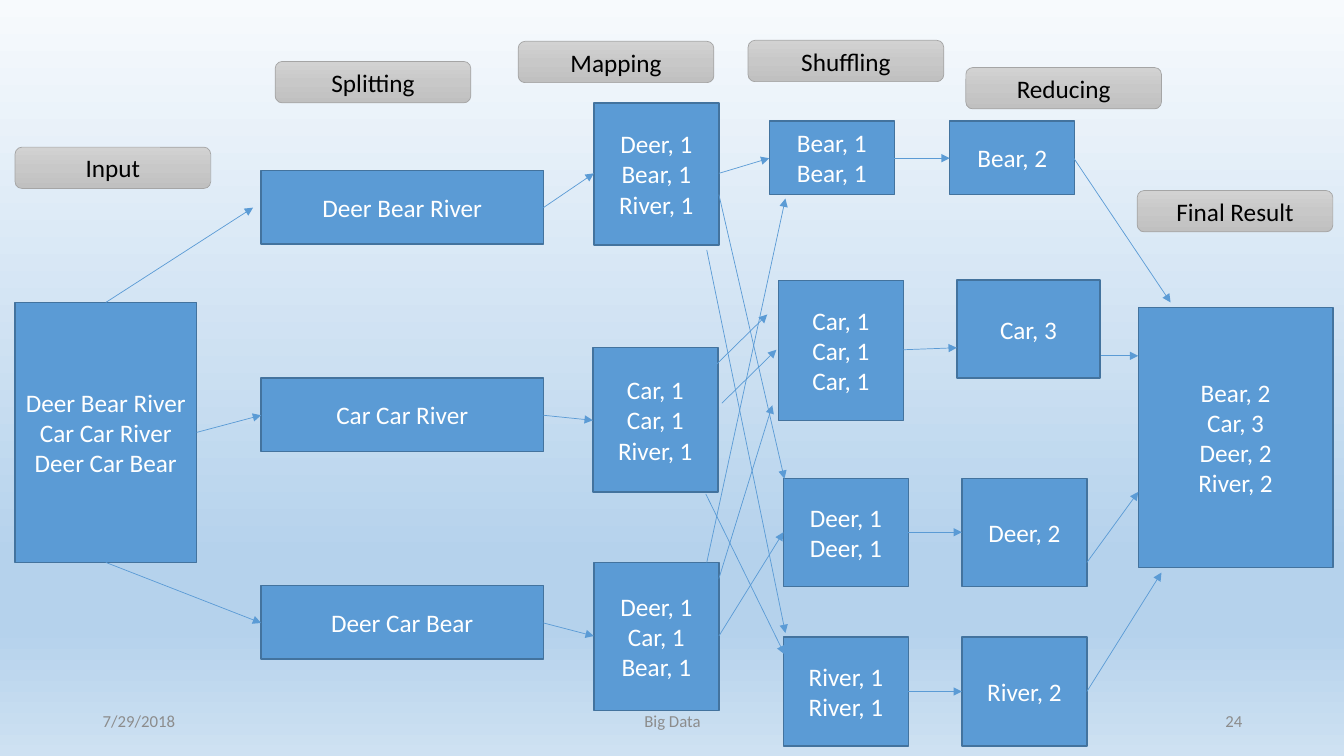
"""Build a slide that follows a word count through the MapReduce stages."""
from dataclasses import dataclass

from lxml import etree
from pptx import Presentation
from pptx.dml.color import RGBColor
from pptx.enum.shapes import MSO_CONNECTOR, MSO_SHAPE
from pptx.enum.text import MSO_ANCHOR, PP_ALIGN
from pptx.oxml.ns import qn
from pptx.util import Inches, Pt

RECTANGLE = MSO_SHAPE.RECTANGLE
ROUNDED = MSO_SHAPE.ROUNDED_RECTANGLE
STRAIGHT = MSO_CONNECTOR.STRAIGHT
MIDDLE = MSO_ANCHOR.MIDDLE
LEFT, CENTER, RIGHT = PP_ALIGN.LEFT, PP_ALIGN.CENTER, PP_ALIGN.RIGHT

BLUE, DARK_BLUE = "5B9BD5", "43739E"
WHITE, BLACK, GRAY, FOOTER_GRAY = "FFFFFF", "000000", "A5A5A5", "8C8C8C"
BACKGROUND_STOPS = [(0, "F7FAFD"), (74, "B5D2EC"), (83, "B5D2EC"), (100, "CEE1F2")]
LABEL_STOPS = [(0, "D2D2D2"), (50, "C8C8C8"), (100, "C0C0C0")]
LABEL_WIDTH, LABEL_HEIGHT = 1.94, 0.41
CELL_WIDTH = 1.24
SPLIT_TOP, SPLIT_STEP = 1.69, 2.06
FOOTER_TOP, FOOTER_HEIGHT = 6.95, 0.4


@dataclass
class Box:
    left: float
    top: float
    width: float
    height: float
    lines: list[str]


@dataclass
class Label:
    left: float
    top: float
    text: str


@dataclass
class Arrow:
    start: tuple[float, float]
    end: tuple[float, float]


@dataclass
class Footer:
    left: float
    width: float
    text: str
    align: PP_ALIGN


DOCUMENT = ["Deer Bear River", "Car Car River", "Deer Car Bear"]

INPUT_BOX = Box(0.15, 3, 1.8, 2.58, DOCUMENT)
SPLIT_BOXES = [
    Box(2.59, SPLIT_TOP + row * SPLIT_STEP, 2.8, 0.73, [line])
    for row, line in enumerate(DOCUMENT)
]
MAP_BOXES = [
    Box(5.89, 1.02, CELL_WIDTH, 1.41, ["Deer, 1", "Bear, 1", "River, 1"]),
    Box(5.88, 3.45, CELL_WIDTH, 1.43, ["Car, 1", "Car, 1", "River, 1"]),
    Box(5.89, 5.58, CELL_WIDTH, 1.47, ["Deer, 1", "Car, 1", "Bear, 1"]),
]
SHUFFLE_BOXES = [
    Box(7.63, 1.2, CELL_WIDTH, 0.73, ["Bear, 1"] * 2),
    Box(7.72, 2.78, CELL_WIDTH, 1.39, ["Car, 1"] * 3),
    Box(7.77, 4.75, CELL_WIDTH, 1.07, ["Deer, 1"] * 2),
    Box(7.77, 6.32, CELL_WIDTH, 1.08, ["River, 1"] * 2),
]
REDUCE_BOXES = [
    Box(9.42, 1.2, CELL_WIDTH, 0.73, ["Bear, 2"]),
    Box(9.49, 2.78, 1.42, 0.97, ["Car, 3"]),
    Box(9.54, 4.75, CELL_WIDTH, 1.07, ["Deer, 2"]),
    Box(9.54, 6.32, CELL_WIDTH, 1.08, ["River, 2"]),
]
RESULT_BOX = Box(11.29, 3.05, 1.93, 2.58, ["Bear, 2", "Car, 3", "Deer, 2", "River, 2"])
BOXES = [INPUT_BOX, *SPLIT_BOXES, *MAP_BOXES, *SHUFFLE_BOXES, *REDUCE_BOXES, RESULT_BOX]

INPUT_ARROWS = [
    Arrow((1.05, 3), (2.51, 2.06)),
    Arrow((1.95, 4.29), (2.59, 4.12)),
    Arrow((1.05, 5.58), (2.59, 6.18)),
]
SPLIT_ARROWS = [
    Arrow((5.39, 2.06), (5.89, 1.72)),
    Arrow((5.39, 4.12), (5.88, 4.17)),
    Arrow((5.39, 6.18), (5.89, 6.31)),
]
MAP_ARROWS = [
    Arrow((7.13, 1.72), (7.63, 1.57)),
    Arrow((7.13, 1.93), (7.78, 4.75)),
    Arrow((7.01, 2.48), (7.79, 6.28)),
    Arrow((7.08, 3.64), (7.61, 3.12)),
    Arrow((7.16, 4), (7.7, 3.47)),
    Arrow((7, 4.9), (7.78, 6.49)),
    Arrow((7.13, 5.74), (7.66, 4.02)),
    Arrow((7.13, 6.31), (7.77, 5.28)),
    Arrow((7.01, 5.58), (7.79, 1.97)),
]
SHUFFLE_ARROWS = [
    Arrow((8.86, 1.57), (9.42, 1.57)),
    Arrow((8.96, 3.47), (9.49, 3.45)),
    Arrow((9.01, 5.28), (9.54, 5.28)),
    Arrow((9.01, 6.86), (9.54, 6.86)),
]
REDUCE_ARROWS = [
    Arrow((10.65, 1.57), (11.61, 3)),
    Arrow((10.92, 3.53), (11.29, 3.53)),
    Arrow((10.78, 5.58), (11.29, 4.88)),
    Arrow((10.78, 6.86), (11.52, 5.68)),
]
ARROWS = INPUT_ARROWS + SPLIT_ARROWS + MAP_ARROWS + SHUFFLE_ARROWS + REDUCE_ARROWS

LABELS = [
    Label(0.15, 1.46, "Input"),
    Label(2.73, 0.61, "Splitting"),
    Label(5.14, 0.41, "Mapping"),
    Label(7.42, 0.4, "Shuffling"),
    Label(9.58, 0.67, "Reducing"),
    Label(11.28, 1.89, "Final Result"),
]
FOOTERS = [
    Footer(0.92, 3, "7/29/2018", LEFT),
    Footer(4.42, 4.5, "Big Data", CENTER),
    Footer(9.42, 3, "24", RIGHT),
]


def color(value: str) -> RGBColor:
    return RGBColor.from_string(value)


def paint_gradient(fill, element, stops: list[tuple[int, str]]) -> None:
    fill.gradient()
    fill.gradient_angle = 270
    stop_list = element.find(".//" + qn("a:gsLst"))
    stop_list.clear()
    for position, value in stops:
        stop = etree.SubElement(stop_list, qn("a:gs"), pos=str(position * 1000))
        etree.SubElement(stop, qn("a:srgbClr"), val=value)


def write_text(shape, lines: list[str], *, size: int = 18, ink: str = WHITE,
               align: PP_ALIGN = CENTER) -> None:
    frame = shape.text_frame
    frame.word_wrap = True
    frame.vertical_anchor = MIDDLE
    frame.text = "\n".join(lines)
    for paragraph in frame.paragraphs:
        paragraph.alignment = align
        font = paragraph.runs[0].font
        font.name, font.size = "Calibri", Pt(size)
        font.color.rgb = color(ink)


def add_outlined(slide, kind, bounds: tuple[float, ...], line: str, width: float):
    shape = slide.shapes.add_shape(kind, *map(Inches, bounds))
    shape.shadow.inherit = False
    shape.line.color.rgb = color(line)
    shape.line.width = Pt(width)
    return shape


def draw_box(slide, box: Box) -> None:
    bounds = (box.left, box.top, box.width, box.height)
    shape = add_outlined(slide, RECTANGLE, bounds, DARK_BLUE, 1)
    shape.fill.solid()
    shape.fill.fore_color.rgb = color(BLUE)
    write_text(shape, box.lines)


def draw_label(slide, label: Label) -> None:
    bounds = (label.left, label.top, LABEL_WIDTH, LABEL_HEIGHT)
    shape = add_outlined(slide, ROUNDED, bounds, GRAY, 0.5)
    paint_gradient(shape.fill, shape.element, LABEL_STOPS)
    write_text(shape, [label.text], ink=BLACK)


def draw_arrow(slide, arrow: Arrow) -> None:
    ends = map(Inches, arrow.start + arrow.end)
    connector = slide.shapes.add_connector(STRAIGHT, *ends)
    connector.line.color.rgb = color(BLUE)
    connector.line.width = Pt(0.5)
    properties = connector.element.spPr
    etree.SubElement(properties.find(qn("a:ln")), qn("a:tailEnd"), type="triangle")
    etree.SubElement(properties, qn("a:effectLst"))


def draw_footer(slide, footer: Footer) -> None:
    bounds = (footer.left, FOOTER_TOP, footer.width, FOOTER_HEIGHT)
    shape = slide.shapes.add_textbox(*map(Inches, bounds))
    write_text(shape, [footer.text], size=12, ink=FOOTER_GRAY, align=footer.align)


def main() -> None:
    presentation = Presentation()
    presentation.slide_width, presentation.slide_height = Inches(13.33), Inches(7.5)
    slide = presentation.slides.add_slide(presentation.slide_layouts[6])
    paint_gradient(slide.background.fill, slide.element, BACKGROUND_STOPS)
    for draw, items in ((draw_box, BOXES), (draw_arrow, ARROWS),
                        (draw_label, LABELS), (draw_footer, FOOTERS)):
        for item in items:
            draw(slide, item)
    presentation.save("out.pptx")


if __name__ == "__main__":
    main()
